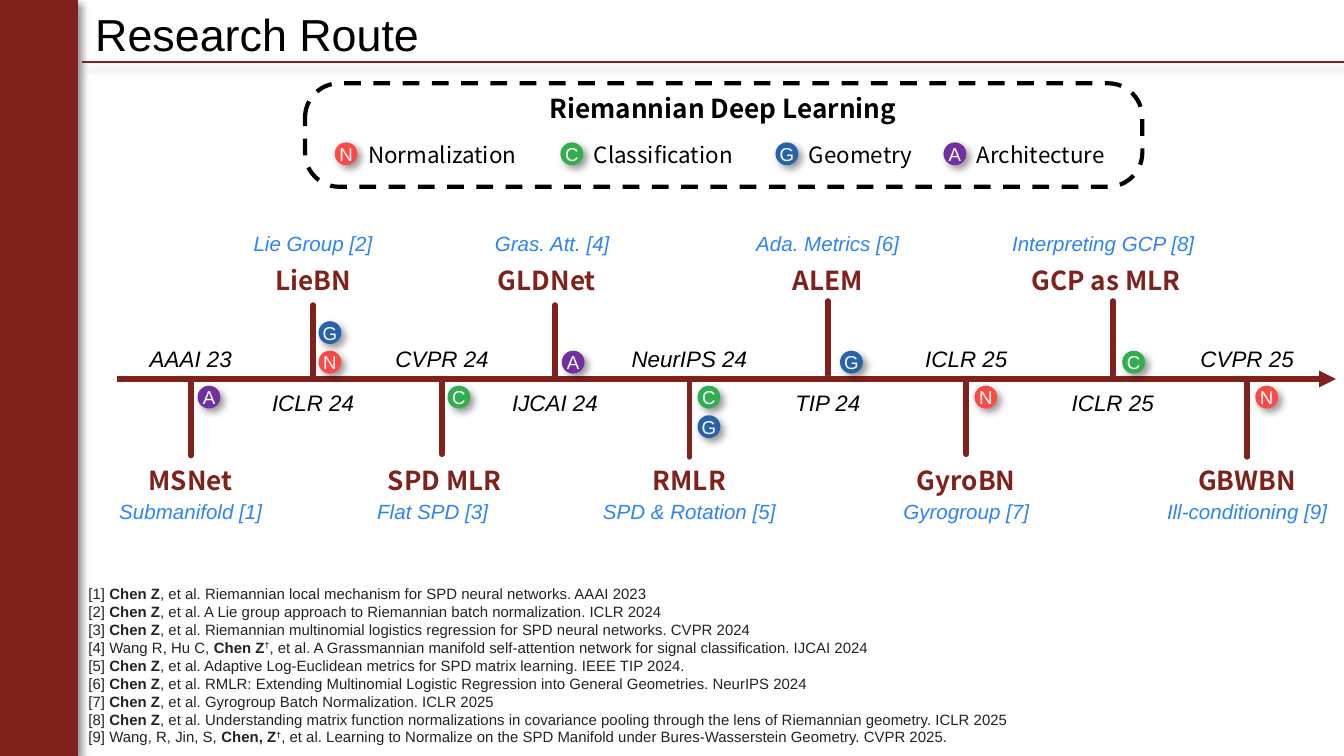
from lxml.etree import SubElement
from pptx import Presentation
from pptx.dml.color import RGBColor
from pptx.enum.dml import MSO_LINE
from pptx.enum.shapes import MSO_CONNECTOR, MSO_SHAPE
from pptx.enum.text import MSO_ANCHOR, PP_ALIGN
from pptx.oxml.ns import qn
from pptx.util import Inches, Pt

COLORS = {"maroon": "80221C", "black": "000000", "white": "FFFFFF", "topic": "2D83F4",
          "reference": "222222", "N": "FF4944", "C": "32AE51", "G": "2862AA", "A": "7030A0"}
SANS, HEAVY = "Arial", "Noto Sans CJK SC"

LEGEND = [("N", "Normalization", 2.49), ("C", "Classification", 4.17),
          ("G", "Geometry", 5.77), ("A", "Architecture", 7.02)]

# name, topic, venue, badges from the axis outwards, stem x, stem tip y
# and the shifts from the stem of name, topic and badges
MILESTONES = [
    ("MSNet", "Submanifold [1]", "AAAI 23", "A", 1.42, 3.39, (0, 0, 0.05)),
    ("LieBN", "Lie Group [2]", "ICLR 24", "NG", 2.33, 2.27, (0, 0, 0.04)),
    ("SPD MLR", "Flat SPD [3]", "CVPR 24", "C", 3.29, 3.38, (0.02, -0.07, 0.04)),
    ("GLDNet", "Gras. Att. [4]", "IJCAI 24", "A", 4.13, 2.27, (-0.06, -0.02, 0.05)),
    ("RMLR", "SPD & Rotation [5]", "NeurIPS 24", "CG", 5.13, 3.4, (0, 0, 0.06)),
    ("ALEM", "Ada. Metrics [6]", "TIP 24", "G", 6.16, 2.24, (0, 0, 0.09)),
    ("GyroBN", "Gyrogroup [7]", "ICLR 25", "N", 7.19, 3.38, (0, 0, 0.06)),
    ("GCP as MLR", "Interpreting GCP [8]", "ICLR 25", "C", 8.28, 2.24, (-0.05, -0.07, 0.07)),
    ("GBWBN", "Ill-conditioning [9]", "CVPR 25", "N", 9.28, 3.4, (0, 0, 0.06)),
]

# text before the author, author, dagger, text after
REFERENCES = [
    ("", "Chen Z", "", "Riemannian local mechanism for SPD neural networks. AAAI 2023"),
    ("", "Chen Z", "", "A Lie group approach to Riemannian batch normalization. ICLR 2024"),
    ("", "Chen Z", "", "Riemannian multinomial logistics regression for SPD neural networks. CVPR 2024"),
    ("Wang R, Hu C, ", "Chen Z", "†",
     "A Grassmannian manifold self-attention network for signal classification. IJCAI 2024"),
    ("", "Chen Z", "", "Adaptive Log-Euclidean metrics for SPD matrix learning. IEEE TIP 2024."),
    ("", "Chen Z", "",
     "RMLR: Extending Multinomial Logistic Regression into General Geometries. NeurIPS 2024"),
    ("", "Chen Z", "", "Gyrogroup Batch Normalization. ICLR 2025"),
    ("", "Chen Z", "", "Understanding matrix function normalizations in covariance pooling "
     "through the lens of Riemannian geometry. ICLR 2025"),
    ("Wang, R, Jin, S, ", "Chen, Z", "†", "Learning to Normalize on the SPD Manifold "
     "under Bures-Wasserstein Geometry. CVPR 2025."),
]

AXIS_Y, STEM, BADGE, BADGE_STEP = 2.82, 0.55, 0.17, 0.22
WIDTH = 10
HEIGHT = WIDTH * 9 / 16
# top of each part for milestones above and below the axis
ABOVE = {"topic": 1.67, "name": 1.92, "venue": 2.85, "badge": 2.61}
BELOW = {"topic": 3.66, "name": 3.41, "venue": 2.52, "badge": 2.87}

prs = Presentation()
prs.slide_width, prs.slide_height = Inches(WIDTH), Inches(HEIGHT)
s = prs.slides.add_slide(prs.slide_layouts[6])


def color(key):
    return RGBColor.from_string(COLORS[key])


def box(x, y, w, h):
    return [Inches(v) for v in (x, y, w, h)]


def style(font, size, key, name=SANS, bold=False, italic=False):
    font.size, font.name, font.bold, font.italic = Pt(size), name, bold, italic
    font.color.rgb = color(key)


def add_text(text, x, y, w, h, size, key, align=PP_ALIGN.LEFT, inset=0.1, **font):
    tf = s.shapes.add_textbox(*box(x, y, w, h)).text_frame
    tf.word_wrap = True
    tf.margin_left = tf.margin_right = Inches(inset)
    p = tf.paragraphs[0]
    p.text, p.alignment = text, align
    style(p.font, size, key, **font)


def add_label(text, center, y, w, h, size, key, **font):
    add_text(text, center - w / 2, y, w, h, size, key, PP_ALIGN.CENTER, 0, **font)


def set_effects(sp, shadow):
    """Replace the theme's effects by a soft shadow or by none."""
    effects = SubElement(sp._element.spPr, qn("a:effectLst"))
    if shadow:
        outer = SubElement(effects, qn("a:outerShdw"), blurRad=str(Pt(4)), dist=str(Pt(3)),
                           dir="2700000", algn="tl", rotWithShape="0")
        clr = SubElement(outer, qn("a:srgbClr"), val=COLORS["black"])
        SubElement(clr, qn("a:alpha"), val="40000")


def add_solid(kind, x, y, w, h, key):
    sp = s.shapes.add_shape(kind, *box(x, y, w, h))
    sp.fill.solid()
    sp.fill.fore_color.rgb = color(key)
    sp.line.fill.background()
    set_effects(sp, True)
    return sp


def add_line(x1, y1, x2, y2, width, shadow=False, arrow=False, cap="flat"):
    c = s.shapes.add_connector(MSO_CONNECTOR.STRAIGHT, *box(x1, y1, x2, y2))
    c.line.color.rgb, c.line.width = color("maroon"), Pt(width)
    ln = c.line._get_or_add_ln()
    ln.set("cap", cap)
    if arrow:
        SubElement(ln, qn("a:tailEnd"), type="triangle")
    set_effects(c, shadow)


def add_badge(letter, x, y):
    tf = add_solid(MSO_SHAPE.OVAL, x, y, BADGE, BADGE, letter).text_frame
    tf.margin_left = tf.margin_right = tf.margin_top = tf.margin_bottom = 0
    tf.word_wrap, tf.vertical_anchor = False, MSO_ANCHOR.MIDDLE
    p = tf.paragraphs[0]
    p.text, p.alignment = letter, PP_ALIGN.CENTER
    style(p.font, 10, "white")


def add_milestone(name, topic, venue, badges, x, tip, shifts):
    up = tip < AXIS_Y
    tops, outward = (ABOVE, -1) if up else (BELOW, 1)
    name_dx, topic_dx, badge_dx = shifts
    add_line(x, tip - outward * STEM, x, tip, 3, cap="rnd")
    add_label(venue, x, tops["venue"], 1, 0.3, 12, "black", italic=True)
    add_label(name, x + name_dx, tops["name"], 1.2, 0.34, 14, "maroon", name=HEAVY, bold=True)
    add_label(topic, x + topic_dx, tops["topic"], 1.4, 0.29, 11, "topic", italic=True)
    for i, letter in enumerate(badges):
        add_badge(letter, x + badge_dx, tops["badge"] + outward * i * BADGE_STEP)


def add_references():
    tf = s.shapes.add_textbox(*box(0.56, 4.3, 8.68, 1.31)).text_frame
    tf.word_wrap = True
    for i, (before, author, dagger, after) in enumerate(REFERENCES):
        p = tf.add_paragraph() if i else tf.paragraphs[0]
        p.line_spacing = Pt(9.6)
        parts = [(f"[{i + 1}] {before}", False), (author, True), (dagger, True),
                 (f", et al. {after}", False)]
        for text, bold in parts:
            if text:
                r = p.add_run()
                r.text = text
                style(r.font, 8, "reference", bold=bold)
                if text == dagger:
                    r.font._element.set("baseline", "30000")


# Frame and title
add_solid(MSO_SHAPE.RECTANGLE, 0, 0, 0.58, HEIGHT, "maroon")
add_line(0.61, 0.46, WIDTH, 0.46, 1, shadow=True)
add_text("Research Route", 0.61, 0, 9.39, 0.46, 24, "black")

# Legend
frame = s.shapes.add_shape(MSO_SHAPE.ROUNDED_RECTANGLE, *box(2.27, 0.62, 6.23, 0.77))
frame.adjustments[0] = 0.33
frame.fill.background()
frame.line.color.rgb, frame.line.width = color("black"), Pt(2.25)
frame.line.dash_style = MSO_LINE.DASH
set_effects(frame, False)
add_label("Riemannian Deep Learning", 5.38, 0.64, 6.23, 0.34, 14, "black", name=HEAVY, bold=True)
for letter, meaning, x in LEGEND:
    add_badge(letter, x, 1.06)
    add_text(meaning, x + 0.15, 1, 1.34, 0.3, 12, "black", name=HEAVY)

# Timeline
add_line(0.87, AXIS_Y, 9.94, AXIS_Y, 3, arrow=True)
for milestone in MILESTONES:
    add_milestone(*milestone)
add_references()

prs.save("out.pptx")
